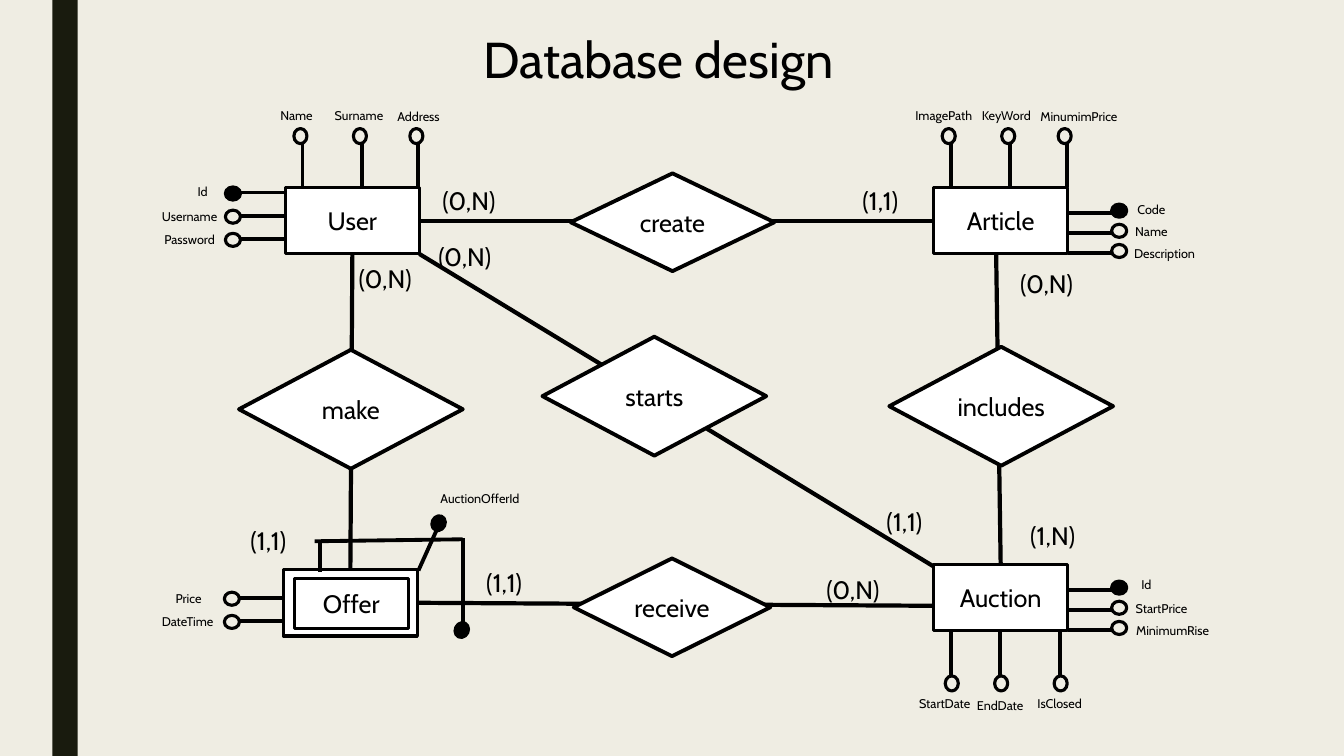
from dataclasses import dataclass

from lxml import etree
from pptx import Presentation
from pptx.dml.color import RGBColor
from pptx.enum.shapes import MSO_CONNECTOR, MSO_SHAPE
from pptx.enum.text import MSO_ANCHOR, PP_ALIGN
from pptx.oxml.ns import qn
from pptx.util import Inches, Pt

LINE = MSO_CONNECTOR.STRAIGHT
RECT = MSO_SHAPE.RECTANGLE
OVAL = MSO_SHAPE.OVAL
RHOMB = MSO_SHAPE.DIAMOND
MIDDLE = MSO_ANCHOR.MIDDLE
CENTER = PP_ALIGN.CENTER
TOP, LEFT, BOTTOM, RIGHT = range(4)


@dataclass(frozen=True)
class Theme:
    """Colours, font, type sizes and line widths."""
    paper: RGBColor = RGBColor.from_string("EFEDE3")
    band: RGBColor = RGBColor.from_string("191B0E")
    ink: RGBColor = RGBColor.from_string("000000")
    white: RGBColor = RGBColor.from_string("FFFFFF")
    font: str = "Cabin"
    title: int = 36
    body: int = 18
    small: int = 9
    edge: float = 2.25
    stem: float = 2.75
    link: float = 3


THEME = Theme()

# side: stem direction, stem offset from the dot, label width
SIDES = {
    "left": (1, 0, 0, -0.01, 1.29),
    "right": (-1, 0, 0, 0.02, 0.8),
    "top": (0, 1, 0.02, 0, 1.29),
    "bottom": (0, -1, -0.01, 0, 0.66),
}
ENTITIES = {
    "User": (2.83, 1.86),
    "Article": (9.26, 1.86),
    "Auction": (9.26, 5.6),
    "Offer": (2.81, 5.65),
}
CARDS = [
    ("(0,N)", 4.65, 1.99), ("(1,1)", 8.73, 1.99), ("(0,N)", 10.38, 2.81),
    ("(1,N)", 10.44, 5.31), ("(0,N)", 8.46, 5.85), ("(0,N)", 3.82, 2.76),
    ("(1,1)", 2.66, 5.36), ("(1,1)", 5, 5.78), ("(0,N)", 4.61, 2.54),
    ("(1,1)", 8.97, 5.17),
]


def write(frame, text, size=THEME.body, color=THEME.ink):
    """Put centred text into a text frame."""
    frame.word_wrap = True
    frame.vertical_anchor = MIDDLE
    frame.margin_left = frame.margin_right = 0
    frame.margin_top = frame.margin_bottom = 0
    para = frame.paragraphs[0]
    para.alignment = CENTER
    run = para.add_run()
    run.text = text
    run.font.name = THEME.font
    run.font.size = Pt(size)
    run.font.color.rgb = color


def label(slide, text, x, y, width=0.85, height=0.32, **style):
    """Add a text box centred on a point."""
    box = slide.shapes.add_textbox(Inches(x - width / 2), Inches(y - height / 2),
                                   Inches(width), Inches(height))
    write(box.text_frame, text, **style)


def shape(slide, kind, x, y, width, height, text="", fill=None, edge=THEME.edge):
    """Add a preset shape with an optional fill, outline and text."""
    item = slide.shapes.add_shape(kind, Inches(x), Inches(y), Inches(width), Inches(height))
    item.shadow.inherit = False
    if fill is None:
        item.fill.background()
    else:
        item.fill.solid()
        item.fill.fore_color.rgb = fill
    if edge:
        item.line.color.rgb = THEME.ink
        item.line.width = Pt(edge)
    else:
        item.line.fill.background()
    if text:
        write(item.text_frame, text)
    return item


def line(slide, start, end, width=THEME.stem):
    """Add a straight line between two points."""
    item = slide.shapes.add_connector(LINE, *map(Inches, (*start, *end)))
    item.line.color.rgb = THEME.ink
    item.line.width = Pt(width)
    etree.SubElement(item._element.spPr, qn("a:effectLst"))
    return item


def dot(slide, x, y, width=0.15, height=0.13, key=False, turn=0):
    """Add an attribute dot, solid for a key."""
    item = shape(slide, OVAL, x - width / 2, y - height / 2, width, height,
                 fill=THEME.ink if key else None)
    item.rotation = turn


def traits(slide, side, dots, names, key=False):
    """Add the attributes along one side; the first may be a key."""
    dx, dy, sx, sy, width = SIDES[side]
    size = (0.15, 0.13) if dx else (0.13, 0.15)
    for i, ((x, y), (name, tx, ty)) in enumerate(zip(dots, names)):
        ends = [(x + sx + dx * far, y + sy + dy * far) for far in (0.07, 0.51)]
        line(slide, *ends)
        dot(slide, x, y, *size, key=key and i == 0)
        label(slide, name, tx, ty, width, 0.27, size=THEME.small)


def column(x, y, step):
    """Give three dot centres one below the other."""
    return [(x, y + step * i) for i in range(3)]


def row(name, y, gaps):
    """Give dot centres along an entity, by gaps from its left edge."""
    return [(ENTITIES[name][0] + gap, y) for gap in gaps]


def link(slide, start, end, head=None, tail=None):
    """Add a relation line, joined to (box, side) where given."""
    item = line(slide, start, end, THEME.link)
    if head:
        item.begin_connect(*head)
    if tail:
        item.end_connect(*tail)


def rhomb(slide, text, x, y, width=2.22, height=1.18):
    """Add a relation diamond."""
    shape(slide, RHOMB, x, y, width, height, text, THEME.white, THEME.stem)


def details(slide):
    """Add the attributes of all entities."""
    tops = (0.15, 0.74, 1.3)
    traits(slide, "left", column(2.31, 1.92, 0.23),
           [("Id", 2.01, 1.9), ("Username", 1.88, 2.15), ("Password", 1.88, 2.38)], key=True)
    traits(slide, "top", row("User", 1.35, tops),
           [("Name", 2.94, 1.15), ("Surname", 3.56, 1.15), ("Address", 4.15, 1.16)])
    traits(slide, "right", column(11.1, 2.09, 0.2),
           [("Code", 11.42, 2.08), ("Name", 11.42, 2.3), ("Description", 11.55, 2.51)], key=True)
    traits(slide, "top", row("Article", 1.35, tops),
           [("ImagePath", 9.36, 1.15), ("KeyWord", 9.98, 1.15), ("MinumimPrice", 10.7, 1.16)])
    traits(slide, "right", column(11.1, 5.83, 0.2),
           [("Id", 11.37, 5.8), ("StartPrice", 11.52, 6.04), ("MinimumRise", 11.63, 6.25)],
           key=True)
    traits(slide, "bottom", row("Auction", 6.78, (0.18, 0.67, 1.26)),
           [("StartDate", 9.37, 6.98), ("EndDate", 9.92, 7), ("IsClosed", 10.51, 6.98)])
    traits(slide, "left", column(2.3, 5.94, 0.23),
           [("Price", 1.87, 5.94), ("DateTime", 1.86, 6.17)])


def weak(slide):
    """Add the compound key of the weak entity."""
    label(slide, "AuctionOfferId", 4.76, 4.95, 1, 0.27, size=THEME.small)
    line(slide, (4.33, 5.26), (4.15, 5.66))
    line(slide, (3.17, 5.37), (3.17, 5.67))
    line(slide, (3.12, 5.37), (4.59, 5.35))
    line(slide, (4.59, 5.34), (4.59, 6.27))
    for x, y in ((4.35, 5.19), (4.58, 6.25)):
        dot(slide, x, y, key=True, turn=114.5)


def main():
    """Build the slide and save it."""
    deck = Presentation()
    deck.slide_width, deck.slide_height = Inches(13.33), Inches(7.5)
    slide = deck.slides.add_slide(deck.slide_layouts[6])
    slide.background.fill.solid()
    slide.background.fill.fore_color.rgb = THEME.paper
    shape(slide, RECT, 0.52, 0, 0.25, 7.5, fill=THEME.band, edge=0)
    label(slide, "Database design", 6.53, 0.58, 12.19, 0.71, size=THEME.title)

    boxes = {name: shape(slide, RECT, x, y, 1.33, 0.66, "" if name == "Offer" else name,
                         THEME.white)
             for name, (x, y) in ENTITIES.items()}
    shape(slide, RECT, 2.92, 5.74, 1.13, 0.5, "Offer", THEME.white)
    details(slide)

    user, article, auction, offer = boxes.values()
    link(slide, (4.16, 2.19), (9.26, 2.19), (user, RIGHT), (article, LEFT))
    link(slide, (9.88, 2.52), (9.92, 5.6), tail=(auction, TOP))
    link(slide, (4.14, 5.98), (9.26, 6.01), head=(offer, RIGHT))
    link(slide, (3.49, 2.52), (3.49, 5.65), (user, BOTTOM), (offer, TOP))
    link(slide, (4.16, 2.52), (9.26, 5.62))
    rhomb(slide, "create", 5.66, 1.72, 2.02, 0.97)
    rhomb(slide, "includes", 8.82, 3.44)
    rhomb(slide, "receive", 5.69, 5.54, 1.95, 0.97)
    rhomb(slide, "make", 2.37, 3.47)
    rhomb(slide, "starts", 5.38, 3.34)
    weak(slide)
    for card in CARDS:
        label(slide, *card)
    deck.save("out.pptx")


if __name__ == "__main__":
    main()
